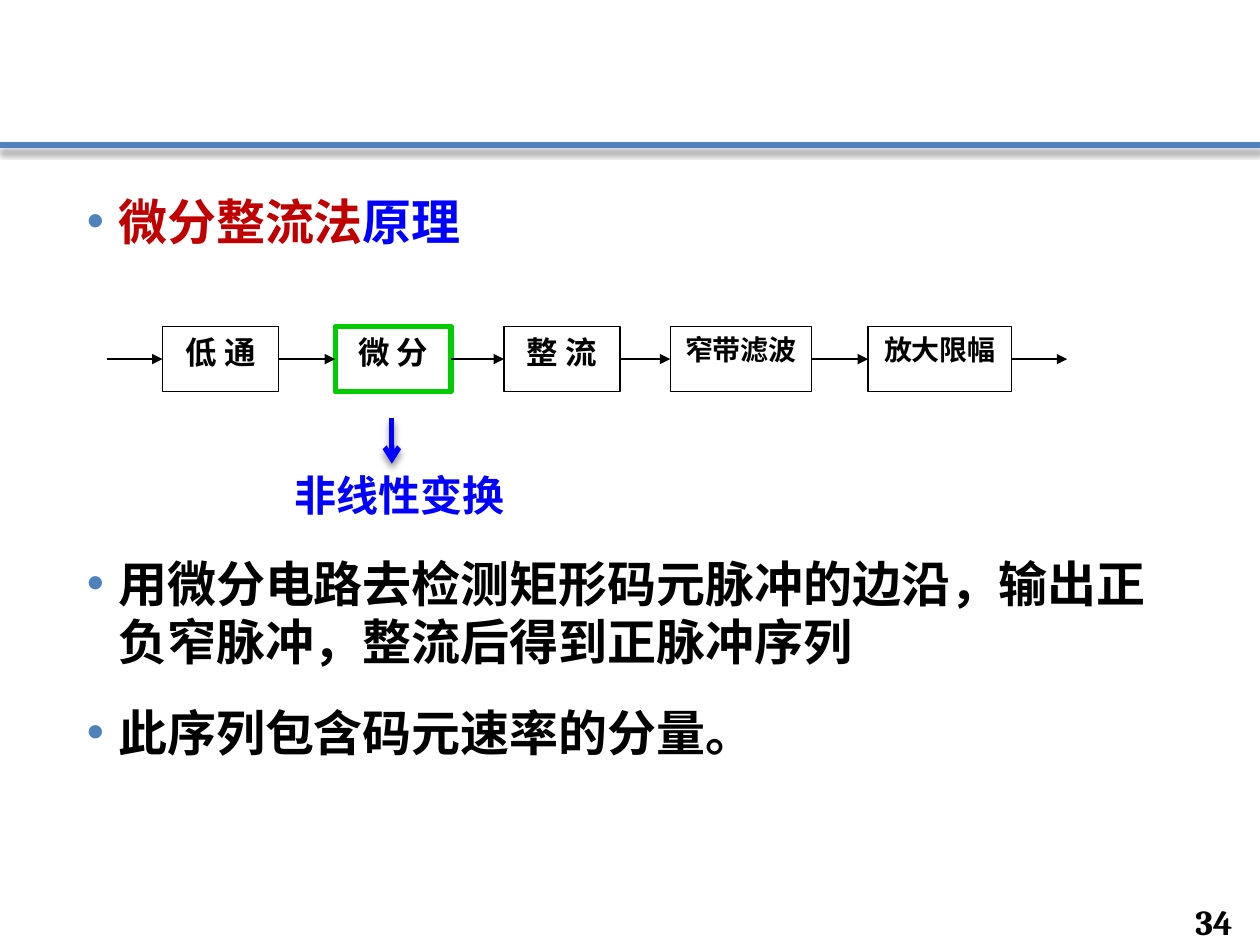
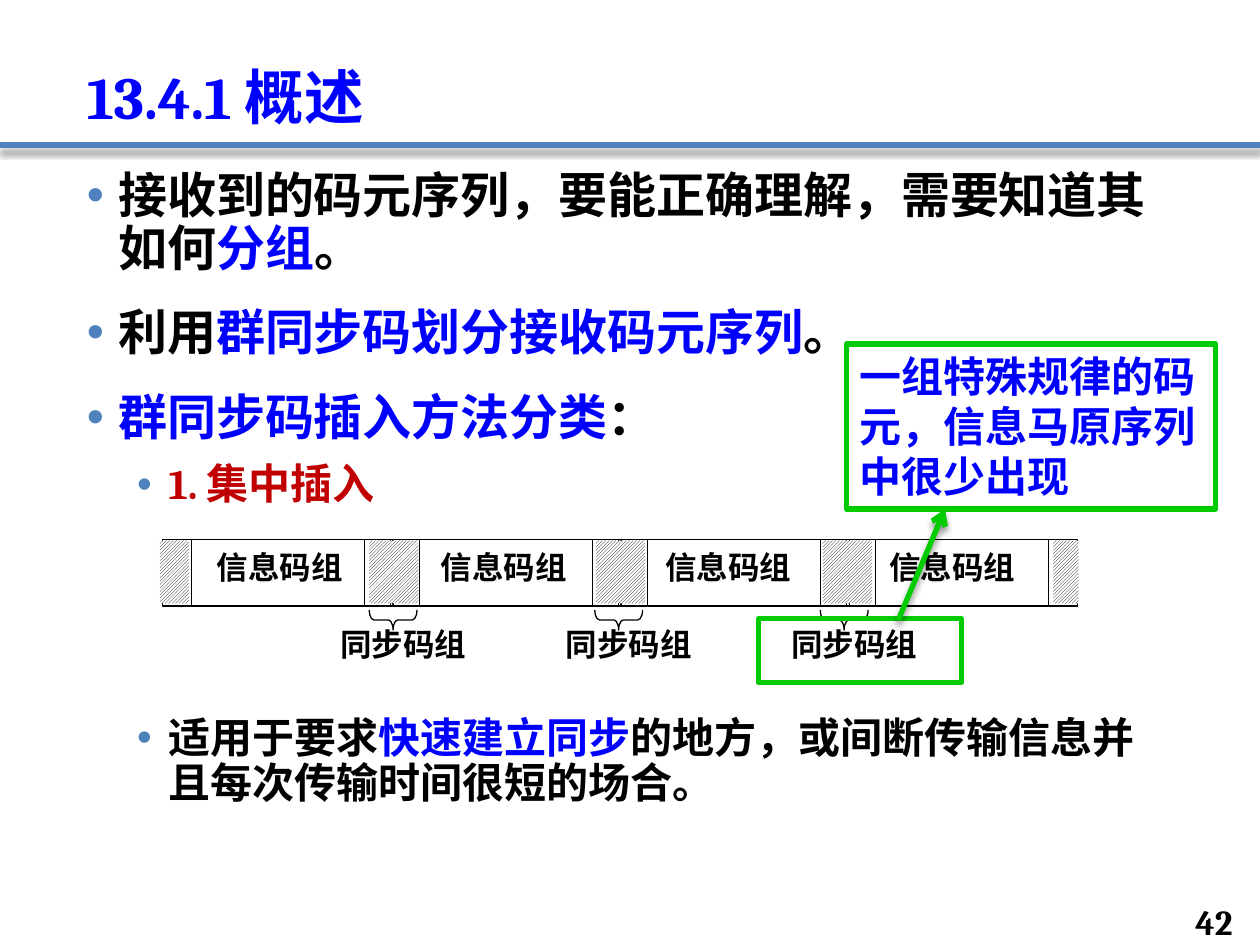
from dataclasses import dataclass

from lxml.etree import SubElement
from pptx import Presentation
from pptx.dml.color import RGBColor
from pptx.enum.dml import MSO_PATTERN
from pptx.enum.lang import MSO_LANGUAGE_ID
from pptx.enum.shapes import MSO_CONNECTOR, MSO_SHAPE
from pptx.enum.text import MSO_ANCHOR, PP_ALIGN
from pptx.oxml.ns import qn
from pptx.util import Inches, Pt

COLUMNS, ROWS = 100, 75
TOP, LEFT, BOTTOM, RIGHT = range(4)


@dataclass(frozen=True)
class Theme:
    """Colours, fonts, type sizes and line weights of the deck."""

    black: str = "000000"
    white: str = "FFFFFF"
    blue: str = "0000FF"
    red: str = "C00000"
    green: str = "00CC00"
    band: str = "4F81BD"
    serif: str = "Cambria"
    figure: str = "Times New Roman"
    note: str = "Lato"
    callout: str = "Arial"
    title: int = 34
    body: int = 28
    detail: int = 24
    number: int = 20
    label: int = 18
    small: int = 16
    thin: float = 0.75
    thick: float = 3


THEME = Theme()


def add_text(paragraph, text, *, size=THEME.body, color=THEME.black, font=THEME.serif):
    """Append bold text with the given format to a paragraph."""
    run = paragraph.add_run()
    run.text = text
    run.font.size = Pt(size)
    run.font.name = font
    run.font.bold = True
    run.font.color.rgb = RGBColor.from_string(color)
    run.font.language_id = MSO_LANGUAGE_ID.SIMPLIFIED_CHINESE


class Deck:
    """Draws styled elements on the current slide by grid columns and rows."""

    def __init__(self, theme):
        """Start an empty presentation in the given style."""
        self.theme = theme
        self.presentation = Presentation()
        self.presentation.slide_width = Inches(10)
        self.presentation.slide_height = Inches(7.5)
        self.slide = None

    def x(self, columns):
        """Turn columns into a length."""
        return round(self.presentation.slide_width * columns / COLUMNS)

    def y(self, rows):
        """Turn rows into a length."""
        return round(self.presentation.slide_height * rows / ROWS)

    def place(self, left, top, width, height):
        """Turn a grid frame into lengths."""
        return self.x(left), self.y(top), self.x(width), self.y(height)

    def new_slide(self, number, title=None):
        """Open a slide with the band, the page number and an optional title."""
        self.slide = self.presentation.slides.add_slide(self.presentation.slide_layouts[6])
        self.line((0, 11.5), (COLUMNS, 11.5), color=self.theme.band,
                  weight=self.theme.thick, shadow=True)
        if title:
            heading = self.text((5.9, 2.1, 88.2, 8.9), title, anchor=MSO_ANCHOR.BOTTOM,
                                size=self.theme.title, color=self.theme.blue)
            heading.line_spacing = 0.9
        self.text((91.9, 71.7, 6.9, 2.8), number, align=PP_ALIGN.RIGHT,
                  anchor=MSO_ANCHOR.MIDDLE, size=self.theme.number)

    def text(self, frame, words, *, align=PP_ALIGN.LEFT, anchor=MSO_ANCHOR.TOP,
             wrap=True, **style):
        """Add a one-paragraph text box and return its paragraph."""
        body = self.slide.shapes.add_textbox(*self.place(*frame)).text_frame
        body.word_wrap = wrap
        body.vertical_anchor = anchor
        paragraph = body.paragraphs[0]
        paragraph.alignment = align
        add_text(paragraph, words, **style)
        return paragraph

    def bullets(self, frame, items, spacing=1.0):
        """Add bulleted items, each a level followed by (text, colour) parts."""
        body = self.slide.shapes.add_textbox(*self.place(*frame)).text_frame
        body.word_wrap = True
        for index, (level, *parts) in enumerate(items):
            paragraph = body.add_paragraph() if index else body.paragraphs[0]
            paragraph.level = level
            paragraph.line_spacing = spacing
            paragraph.space_before = Pt((10 if level else 18) if index else 0)
            properties = paragraph._p.get_or_add_pPr()
            properties.set("marL", str(self.x(6.5 if level else 2.5)))
            properties.set("indent", str(-self.x(2.5)))
            tint = SubElement(properties, qn("a:buClr"))
            SubElement(tint, qn("a:srgbClr"), val=self.theme.band)
            SubElement(properties, qn("a:buFont"), typeface="Arial")
            SubElement(properties, qn("a:buChar"), char="•")
            size = self.theme.detail if level else self.theme.body
            for words, color in parts:
                add_text(paragraph, words, size=size, color=color)

    def shape(self, frame, kind=MSO_SHAPE.RECTANGLE, *, fill=None, color=THEME.black,
              weight=THEME.thin):
        """Add an outlined preset shape."""
        outline = self.slide.shapes.add_shape(kind, *self.place(*frame))
        outline.shadow.inherit = False
        if fill:
            outline.fill.solid()
            outline.fill.fore_color.rgb = RGBColor.from_string(fill)
        else:
            outline.fill.background()
        outline.line.color.rgb = RGBColor.from_string(color)
        outline.line.width = Pt(weight)
        return outline

    def box(self, frame, words, *, align=PP_ALIGN.CENTER, color=THEME.black,
            weight=THEME.thin, **style):
        """Add a white rectangle with text at its top."""
        panel = self.shape(frame, fill=self.theme.white, color=color, weight=weight)
        panel.text_frame.word_wrap = True
        panel.text_frame.vertical_anchor = MSO_ANCHOR.TOP
        paragraph = panel.text_frame.paragraphs[0]
        paragraph.alignment = align
        add_text(paragraph, words, **style)
        return panel

    def hatch(self, frame):
        """Add a borderless hatched rectangle."""
        patch = self.shape(frame)
        patch.fill.patterned()
        patch.fill.pattern = MSO_PATTERN.LIGHT_UPWARD_DIAGONAL
        patch.fill.fore_color.rgb = RGBColor.from_string(self.theme.black)
        patch.fill.back_color.rgb = RGBColor.from_string(self.theme.white)
        patch.line.fill.background()

    def brace(self, frame):
        """Add a brace that opens upwards."""
        bracket = self.shape(frame, MSO_SHAPE.LEFT_BRACE)
        bracket.adjustments[0] = 0.235
        bracket.rotation = 270

    def line(self, start, end, *, color=THEME.black, weight=THEME.thin, head=None,
             shadow=False):
        """Add a straight line with an optional arrowhead and shadow."""
        link = self.slide.shapes.add_connector(
            MSO_CONNECTOR.STRAIGHT, self.x(start[0]), self.y(start[1]),
            self.x(end[0]), self.y(end[1]))
        link.line.color.rgb = RGBColor.from_string(color)
        link.line.width = Pt(weight)
        if head:
            SubElement(link.line._get_or_add_ln(), qn("a:tailEnd"), type=head)
        effects = SubElement(link._element.spPr, qn("a:effectLst"))
        if shadow:
            cast = SubElement(effects, qn("a:outerShdw"), blurRad=str(Pt(4)),
                              dist=str(Pt(3)), dir="5400000", rotWithShape="0")
            shade = SubElement(cast, qn("a:srgbClr"), val=self.theme.black)
            SubElement(shade, qn("a:alpha"), val="43000")
        return link

    def save(self):
        """Write the presentation."""
        self.presentation.save("out.pptx")


def draw_rectifier(deck):
    """Build the slide on the differentiate-and-rectify method."""
    theme = deck.theme
    deck.new_slide("34")
    deck.bullets((5.9, 14.7, 88.2, 6), [
        (0, ("微分整流法", theme.red), ("原理", theme.blue)),
    ])
    deck.bullets((5.9, 43.4, 88.2, 20), [
        (0, ("用微分电路去检测矩形码元脉冲的边沿，输出正负窄脉冲，整流后得到正脉冲序列",
             theme.black)),
        (0, ("此序列包含码元速率的分量。", theme.black)),
    ])

    stages = [
        ("低 通", 12.9, 9.2, theme.label),
        ("微 分", 26.6, 9.2, theme.label),
        ("整 流", 40, 9.2, theme.label),
        ("窄带滤波", 53.2, 11.2, theme.small),
        ("放大限幅", 68.9, 11.4, theme.small),
    ]
    top, height, reach = 25.9, 5.2, 4.4
    middle = top + height / 2
    previous, exit_x = None, stages[0][1] - reach
    for name, left, width, size in stages:
        key_stage = name == "微 分"
        stage = deck.box((left, top, width, height), name, size=size, font=theme.figure,
                         color=theme.green if key_stage else theme.black,
                         weight=theme.thick if key_stage else theme.thin)
        signal = deck.line((exit_x, middle), (left, middle), head="triangle")
        if previous:
            signal.begin_connect(previous, RIGHT)
        signal.end_connect(stage, LEFT)
        previous, exit_x = stage, left + width
    output = deck.line((exit_x, middle), (exit_x + reach, middle), head="triangle")
    output.begin_connect(previous, RIGHT)

    deck.text((22.4, 36.8, 18.8, 5), "非线性变换", wrap=False, size=theme.detail,
              color=theme.blue, font=theme.note)
    deck.line((31.1, 33.2), (31.1, 36.8), color=theme.blue, weight=theme.thick,
              head="arrow", shadow=True)


def draw_group_sync(deck):
    """Build the overview slide on group synchronisation."""
    theme = deck.theme
    deck.new_slide("42", "13.4.1 概述")
    deck.bullets((5.9, 13.1, 88.2, 28), [
        (0, ("接收到的码元序列，要能正确理解，需要知道其如何", theme.black),
         ("分组", theme.blue), ("。", theme.black)),
        (0, ("利用", theme.black), ("群同步码划分接收码元序列", theme.blue),
         ("。", theme.black)),
        (0, ("群同步码插入方法分类", theme.blue), ("：", theme.black)),
        (1, ("1. 集中插入", theme.red)),
    ], spacing=0.9)
    deck.bullets((5.9, 56.4, 88.2, 9), [
        (1, ("适用于要求", theme.black), ("快速建立同步", theme.blue),
         ("的地方，或间断传输信息并且每次传输时间很短的场合。", theme.black)),
    ], spacing=0.9)

    label = dict(align=PP_ALIGN.JUSTIFY, size=theme.label, font=theme.figure)
    for group in range(4):
        deck.shape((12.9 + 18.1 * group, 42.8, 18.3, 5.3),
                   MSO_SHAPE.FLOWCHART_PREDEFINED_PROCESS)
    for left, width in [(12.7, 2.3), (29.3, 3.9), (47.3, 3.9), (65.3, 3.9), (83.6, 2)]:
        deck.hatch((left, 42.9, width, 5))
    for group in range(4):
        deck.text((16.2 + 17.8 * group, 43, 13.2, 5.1), "信息码组", **label)
    for sync in range(3):
        left = 26 + 17.9 * sync
        deck.text((left, 49.1, 13.2, 5.1), "同步码组", **label)
        deck.brace((left + 4.4, 47.3, 1.6, 3.8))

    deck.box((67.2, 27.3, 29.3, 13.1), "一组特殊规律的码元，信息马原序列中很少出现",
             align=PP_ALIGN.LEFT, color=theme.green, weight=theme.thick)
    explanation = deck.slide.shapes[-1].text_frame.paragraphs[0].runs[0].font
    explanation.size, explanation.name = Pt(theme.detail), theme.callout
    explanation.color.rgb = RGBColor.from_string(theme.blue)
    deck.shape((60.2, 49.1, 16.1, 5.1), color=theme.green, weight=theme.thick)
    deck.line((71.3, 49.2), (75, 40.4), color=theme.green, weight=theme.thick,
              head="arrow", shadow=True)


def main():
    """Build and save both slides."""
    deck = Deck(THEME)
    draw_rectifier(deck)
    draw_group_sync(deck)
    deck.save()


if __name__ == "__main__":
    main()
